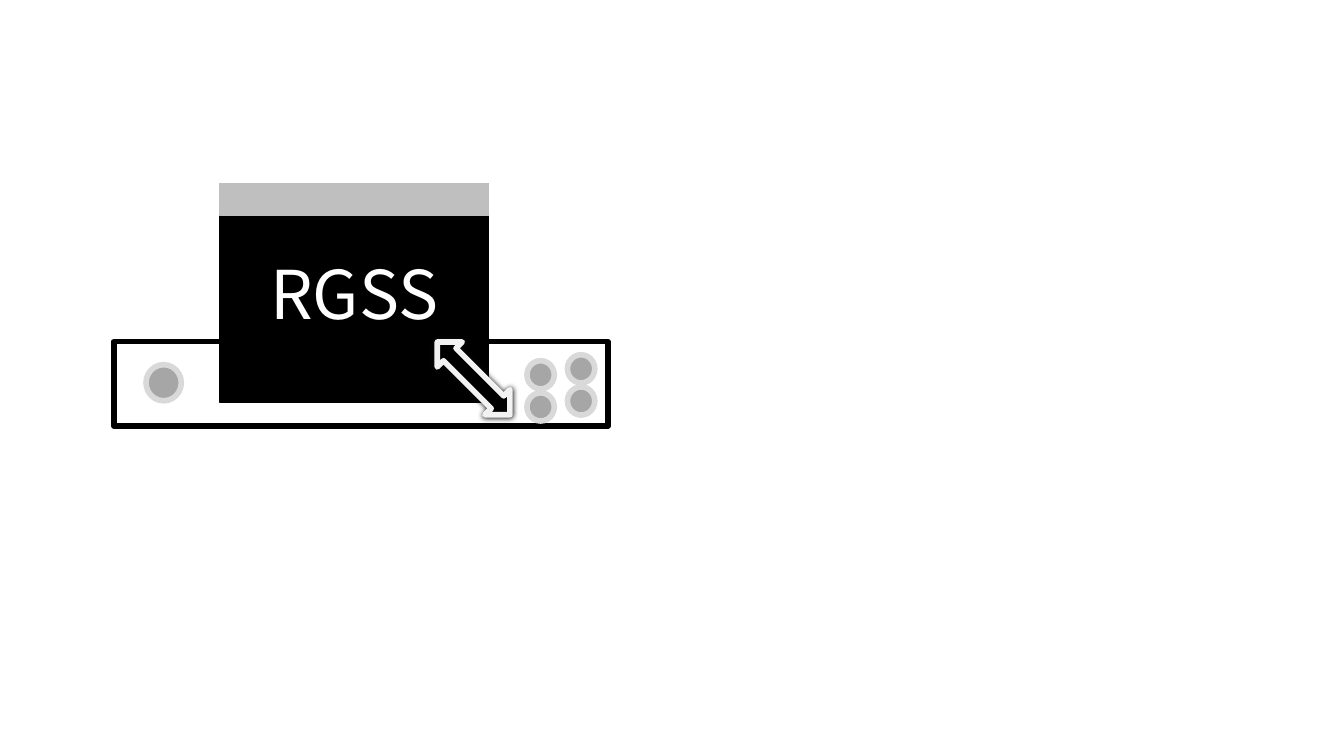
"""Build a slide with the RGSS cartridge sitting in a game pad."""
from dataclasses import dataclass

import pptx
import pptx.dml.color
import pptx.enum.shapes
import pptx.enum.text
import pptx.util
from lxml import etree

Cm = pptx.util.Cm
Kind = pptx.enum.shapes.MSO_SHAPE


@dataclass(frozen=True)
class Theme:
    white: str = "FFFFFF"
    black: str = "000000"
    band: str = "BFBFBF"
    dot: str = "A6A6A6"
    ring: str = "D9D9D9"
    edge: str = "F2F2F2"
    shade: str = "0D0D0D"
    font: str = "Noto Sans CJK SC"
    size: int = 48
    thick: int = 4
    thin: int = 1


theme = Theme()


def color(code):
    return pptx.dml.color.RGBColor.from_string(code)


def draw(home, kind, box, fill, line, width):
    shape = home.shapes.add_shape(kind, *[Cm(n) for n in box])
    shape.shadow.inherit = False
    shape.fill.solid()
    shape.fill.fore_color.rgb = color(fill)
    shape.line.color.rgb = color(line)
    shape.line.width = pptx.util.Pt(width)
    return shape


deck = pptx.Presentation()
deck.slide_width, deck.slide_height = Cm(33.87), Cm(19.05)
slide = deck.slides.add_slide(deck.slide_layouts[6])

pad = slide.shapes.add_group_shape()
draw(pad, Kind.RECTANGLE, (2.87, 8.61, 12.45, 2.13),
     theme.white, theme.black, theme.thick)
dots = [(3.68, 9.19, 0.89, 0.91)]
for left, top in ((13.28, 9.09), (14.3, 8.94)):
    for row in range(2):
        dots.append((left, top + row * 0.81, 0.69, 0.71))
for box in dots:
    draw(pad, Kind.OVAL, box, theme.dot, theme.ring, theme.thick)

cart = slide.shapes.add_group_shape()
body = draw(cart, Kind.RECTANGLE, (5.54, 4.62, 6.78, 5.51),
            theme.black, theme.black, theme.thin)
body.text_frame.vertical_anchor = pptx.enum.text.MSO_ANCHOR.MIDDLE
label = body.text_frame.paragraphs[0]
label.text = "RGSS"
label.alignment = pptx.enum.text.PP_ALIGN.CENTER
label.font.name = theme.font
label.font.size = pptx.util.Pt(theme.size)
label.font.color.rgb = color(theme.white)
draw(cart, Kind.RECTANGLE, (5.54, 4.62, 6.78, 0.81),
     theme.band, theme.band, theme.thin)

arrow = draw(slide, Kind.LEFT_RIGHT_ARROW, (10.64, 9.09, 2.59, 0.89),
             theme.black, theme.edge, theme.thick)
arrow.rotation = 45
space = "{http://schemas.openxmlformats.org/drawingml/2006/main}"
glow = etree.SubElement(
    arrow.element.spPr.find(space + "effectLst"), space + "outerShdw",
    blurRad=str(pptx.util.Pt(4)), dist="0", dir="5400000", rotWithShape="0")
etree.SubElement(glow, space + "srgbClr", val=theme.shade)

deck.save("out.pptx")
